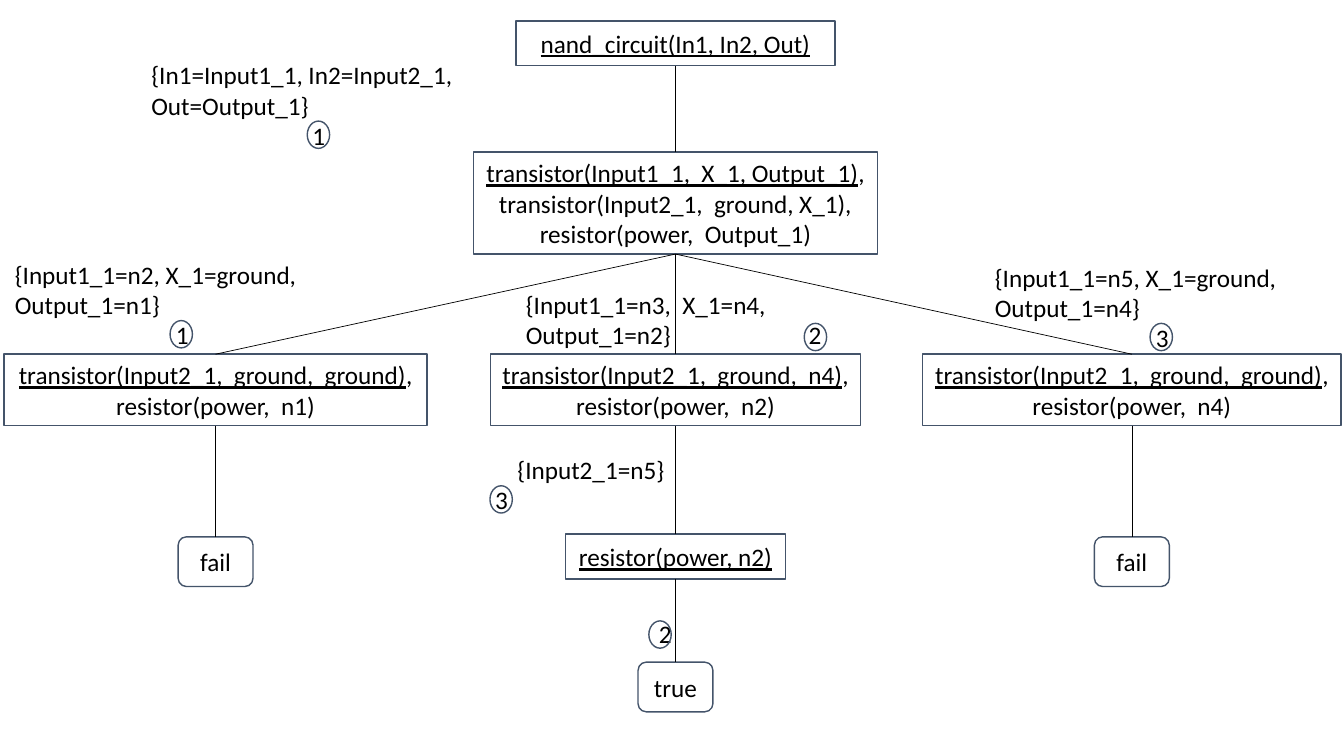
from pptx import Presentation
from pptx.dml.color import RGBColor
from pptx.enum.shapes import MSO_CONNECTOR as CONN, MSO_SHAPE as SHAPE
from pptx.enum.text import MSO_ANCHOR as ANCHOR, PP_ALIGN as ALIGN
from pptx.oxml.ns import qn
from pptx.util import Pt
from lxml.etree import SubElement

BLACK = RGBColor(0x00, 0x00, 0x00)
SLATE = RGBColor(0x44, 0x54, 0x6A)
LEFT, MID, RIGHT = 154, 482.5, 808.5  # centres of the tree's columns


class TreeSlide:
    font, size = "Calibri", Pt(18)

    def __init__(self, prs):
        self.s = prs.slides.add_slide(prs.slide_layouts[6])

    def add_text(self, p, text, underline=False):
        for i, line in enumerate(text.split("\n")):
            if i:
                p.add_line_break()
            if line:
                r = p.add_run()
                r.text = line
                r.font.name, r.font.size = self.font, self.size
                r.font.color.rgb = BLACK
                r.font.underline = underline

    def outline(self, kind, x, y, w, h):
        sp = self.s.shapes.add_shape(kind, Pt(x), Pt(y), Pt(w), Pt(h))
        sp.shadow.inherit = False
        sp.fill.background()
        sp.line.color.rgb = SLATE
        sp.line.width = Pt(1)
        return sp

    def node(self, kind, cx, y, w, h, goal="", rest=""):
        """Box centred on cx; the selected goal is underlined."""
        sp = self.outline(kind, cx - w / 2, y, w, h)
        tf = sp.text_frame
        tf.word_wrap, tf.vertical_anchor = True, ANCHOR.MIDDLE
        p = tf.paragraphs[0]
        p.alignment = ALIGN.CENTER
        self.add_text(p, goal, underline=True)
        self.add_text(p, rest)
        return sp

    def goal(self, cx, y, w, h, goal, rest=""):
        return self.node(SHAPE.RECTANGLE, cx, y, w, h, goal, rest)

    def leaf(self, cx, y, text):
        return self.node(SHAPE.ROUNDED_RECTANGLE, cx, y, 53.5, 35.5, rest=text)

    def edge(self, parent, child):
        ln = self.s.shapes.add_connector(CONN.STRAIGHT, 0, 0, 0, 0)
        ln.begin_connect(parent, 2)
        ln.end_connect(child, 0)
        ln.line.color.rgb = BLACK
        ln.line.width = Pt(0.5)
        SubElement(ln._element.spPr, qn("a:effectLst"))

    def label(self, x, y, w, h, *texts):
        """Text box; returns its paragraphs."""
        tf = self.s.shapes.add_textbox(Pt(x), Pt(y), Pt(w), Pt(h)).text_frame
        tf.word_wrap, tf.vertical_anchor = True, ANCHOR.MIDDLE
        for i, text in enumerate(texts):
            self.add_text(tf.add_paragraph() if i else tf.paragraphs[0], text)
        return tf.paragraphs

    def ring(self, x, y):
        self.outline(SHAPE.OVAL, x, y, 16, 19.5)


prs = Presentation()
prs.slide_width, prs.slide_height = Pt(960), Pt(540)
tree = TreeSlide(prs)

# Goals and leaves
root = tree.goal(MID, 15, 228, 32, "nand_circuit(In1, In2, Out)")
body = tree.goal(MID, 108.5, 289, 73, "transistor(Input1_1,  X_1, Output_1)",
                 ", transistor(Input2_1,  ground, X_1),\nresistor(power,  Output_1)")
branches = [
    tree.goal(cx, 253, w, 51, f"transistor(Input2_1,  ground,  {drain})",
              f",\nresistor(power,  {out})")
    for cx, w, drain, out in [(LEFT, 302, "ground", "n1"),
                              (MID, 264, "n4", "n2"),
                              (RIGHT, 299, "ground", "n4")]
]
load = tree.goal(MID, 381.5, 157, 32, "resistor(power, n2)")
success = tree.leaf(MID, 473, "true")
fails = [tree.leaf(cx, 383.5, "fail") for cx in (LEFT, RIGHT)]

# Edges
left, middle, right = branches
for parent, child in [(root, body), *((body, b) for b in branches),
                      (left, fails[0]), (middle, load), (right, fails[1]),
                      (load, success)]:
    tree.edge(parent, child)

# Substitutions with the centred clause number below
for x, y, text, number in [
    (101, 42, "{In1=Input1_1, In2=Input2_1, Out=Output_1}", "1"),
    (3.5, 184.5, "{Input1_1=n2, X_1=ground,\nOutput_1=n1}", "1"),
    (703.5, 186.5, "{Input1_1=n5, X_1=ground,\nOutput_1=n4}", "3"),
]:
    tree.label(x, y, 253.5, 66, text, number)[1].alignment = ALIGN.CENTER

# Middle branch: number set by a tab stop
p = tree.label(368.5, 195, 253.5, 66,
               "{Input1_1=n3,  X_1=n4,\nOutput_1=n2}\t2")[0]
tabs = SubElement(p._p.get_or_add_pPr(), qn("a:tabLst"))
SubElement(tabs, qn("a:tab"), pos=str(Pt(202)), algn="l")

# Last substitution: indented above its number
p = tree.label(346.5, 313, 146, 66, "{Input2_1=n5}", "3")[0]
p._p.get_or_add_pPr().set("marL", str(Pt(16)))

# Clause number on the way to success
tree.label(463.5, 440.5, 16, 24.5, "2")[0].alignment = ALIGN.CENTER

# Rings around the clause numbers
for x, y in [(219.5, 86.5), (121.5, 229), (821.5, 231), (574.5, 231),
             (350, 347), (463.5, 443.5)]:
    tree.ring(x, y)

prs.save("out.pptx")
